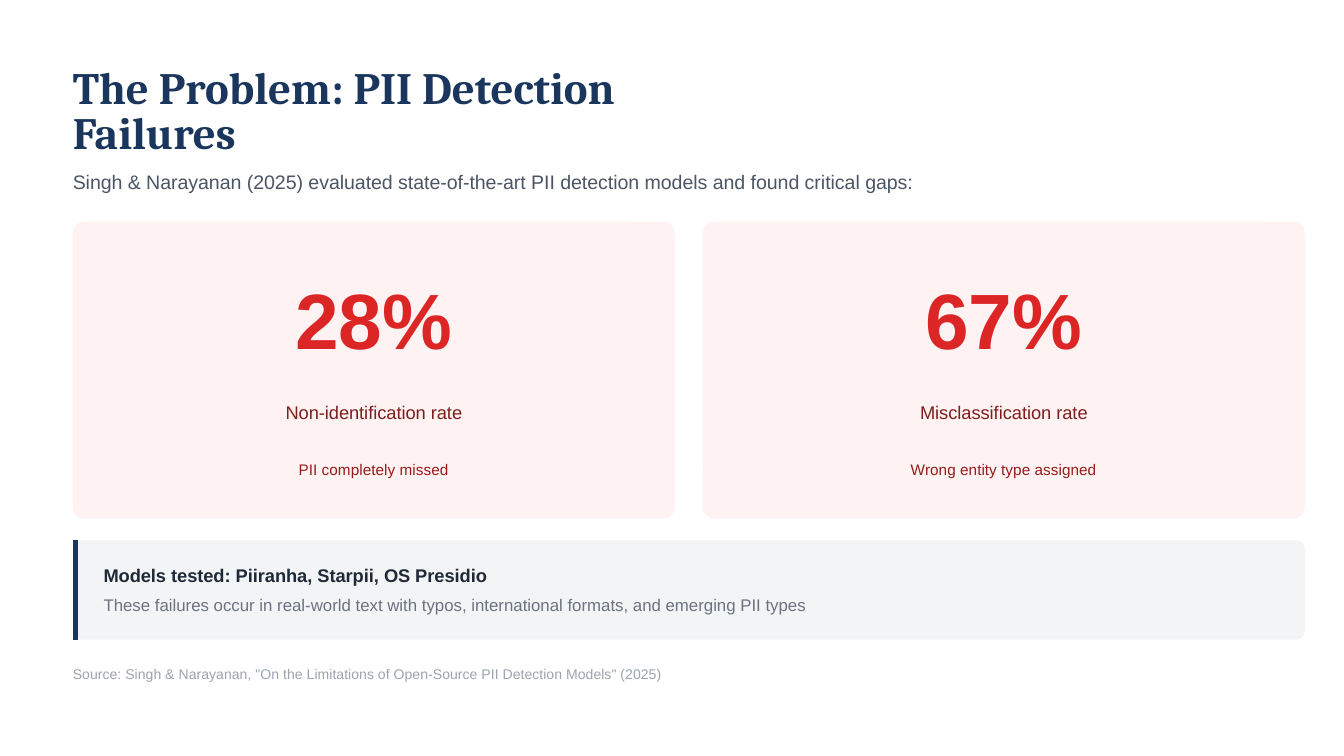
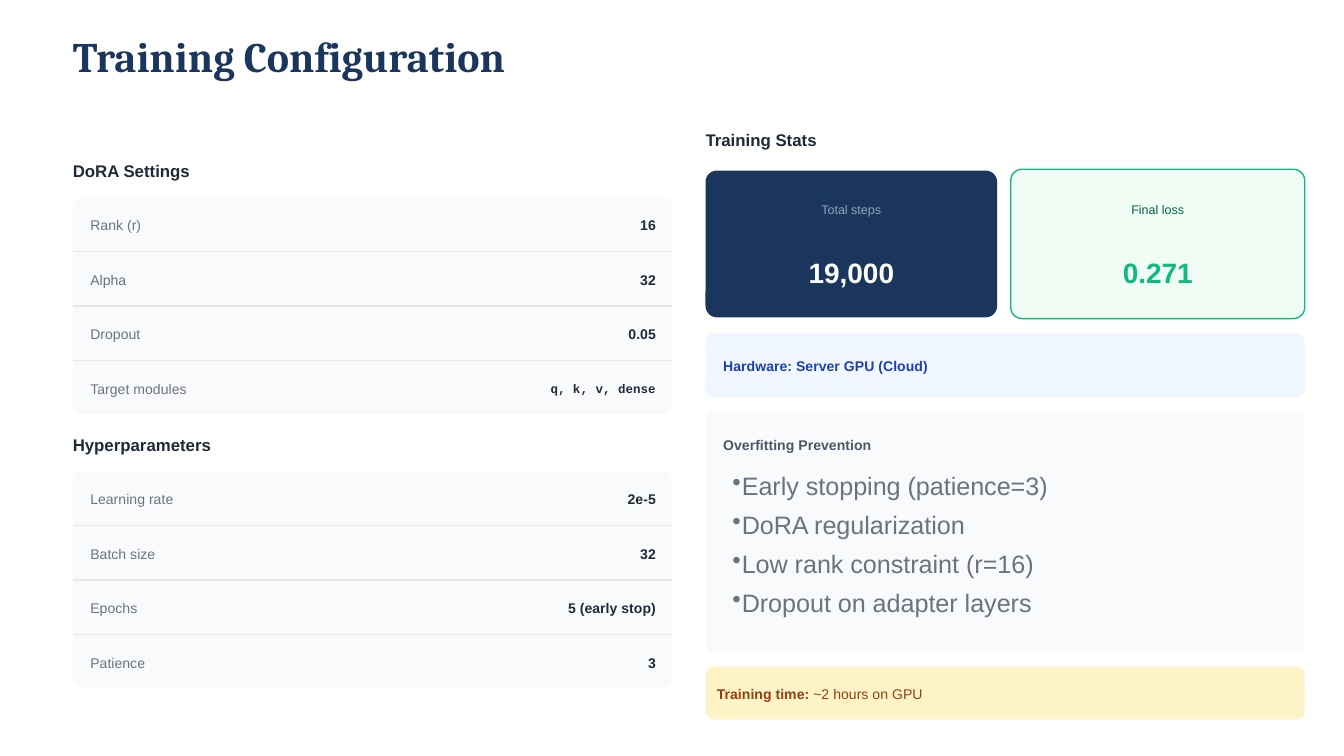
from lxml import etree
from pptx import Presentation
from pptx.dml.color import RGBColor
from pptx.enum.shapes import MSO_CONNECTOR, MSO_SHAPE
from pptx.enum.text import MSO_ANCHOR, MSO_AUTO_SIZE, PP_ALIGN
from pptx.oxml.ns import qn
from pptx.util import Pt

STRAIGHT = MSO_CONNECTOR.STRAIGHT
ROUNDED = MSO_SHAPE.ROUNDED_RECTANGLE
TOP = MSO_ANCHOR.TOP
NO_AUTOFIT = MSO_AUTO_SIZE.NONE
LEFT, CENTER, RIGHT = PP_ALIGN.LEFT, PP_ALIGN.CENTER, PP_ALIGN.RIGHT

TITLE_FONT, BODY_FONT, CODE_FONT = "Cambria", "Arial", "Courier New"
NAVY, INK, SLATE, GRAY = "1A365D", "1F2937", "4B5563", "6B7280"
PALE, RULE, GREEN = "F9FAFB", "E5E7EB", "10B981"

MARGIN = 39
CONTENT_WIDTH = 660
COLUMN_WIDTH = 321
RIGHT_COLUMN = MARGIN + CONTENT_WIDTH - COLUMN_WIDTH
PADDING = 9.4
ROW_PITCH = 29.25


def color(value):
    """Turn a hex string into a colour."""
    return RGBColor.from_string(value)


def place(shape, left, top, width, height):
    """Move and size a shape in points."""
    shape.left, shape.top = Pt(left), Pt(top)
    shape.width, shape.height = Pt(width), Pt(height)


def prepare_frame(shape, inset=0):
    """Give a shape a wrapping, top-anchored text frame."""
    frame = shape.text_frame
    frame.word_wrap = True
    frame.auto_size = NO_AUTOFIT
    frame.vertical_anchor = TOP
    frame.margin_left = Pt(inset)
    frame.margin_top = frame.margin_right = frame.margin_bottom = 0
    return frame


def format_paragraph(paragraph, size, ink, bold=False, font=BODY_FONT,
                     align=LEFT, leading=None):
    """Set the font, alignment and exact line spacing of a paragraph."""
    paragraph.alignment = align
    paragraph.line_spacing = Pt(leading or size * 1.4)
    paragraph.space_before = paragraph.space_after = Pt(0)
    paragraph.font.name = font
    paragraph.font.size = Pt(size)
    paragraph.font.bold = bold
    paragraph.font.color.rgb = color(ink)


def add_title(presentation, text, top, width, size):
    """Add a slide with its title and return the slide."""
    slide = presentation.slides.add_slide(presentation.slide_layouts[5])
    title = slide.shapes.title
    place(title, MARGIN, top, width, size)
    paragraph = prepare_frame(title).paragraphs[0]
    paragraph.text = text
    format_paragraph(paragraph, size, NAVY, True, TITLE_FONT, leading=size)
    return slide


def add_text(slide, text, left, top, width, size, ink, **style):
    """Add a one-paragraph text box and return its paragraph."""
    box = slide.shapes.add_textbox(Pt(left), Pt(top), Pt(width), Pt(size * 1.4))
    paragraph = prepare_frame(box).paragraphs[0]
    paragraph.text = text
    format_paragraph(paragraph, size, ink, **style)
    return paragraph


def add_bullets(slide, items, left, top, width, size, ink, leading):
    """Add a bulleted list."""
    box = slide.shapes.add_textbox(
        Pt(left), Pt(top), Pt(width), Pt(leading * len(items) + PADDING))
    frame = prepare_frame(box, 5)
    for index, item in enumerate(items):
        paragraph = frame.add_paragraph() if index else frame.paragraphs[0]
        paragraph.text = item
        properties = paragraph._p.get_or_add_pPr()
        properties.set("marL", str(Pt(5)))
        properties.set("indent", str(-Pt(5)))
        etree.SubElement(properties, qn("a:buChar")).set("char", "•")
        format_paragraph(paragraph, size, ink, leading=leading)


def add_card(slide, left, top, width, height, fill, radius=4.5, outline=None):
    """Add a rounded panel with a corner radius in points."""
    card = slide.shapes.add_shape(ROUNDED, Pt(left), Pt(top), Pt(width), Pt(height))
    card.shadow.inherit = False
    card.adjustments[0] = radius / min(width, height)
    card.fill.solid()
    card.fill.fore_color.rgb = color(fill)
    if outline:
        card.line.color.rgb = color(outline)
        card.line.width = Pt(0.75)
    else:
        card.line.fill.background()


def add_line(slide, start, end, ink, weight):
    """Draw a straight line between two points."""
    line = slide.shapes.add_connector(
        STRAIGHT, Pt(start[0]), Pt(start[1]), Pt(end[0]), Pt(end[1]))
    line.line.color.rgb = color(ink)
    line.line.width = Pt(weight)
    etree.SubElement(line._element.spPr, qn("a:effectLst"))


def add_centered(slide, text, center, top, width, size, ink, bold=False):
    """Add centred text around a horizontal position."""
    add_text(slide, text, center - width / 2, top, width, size, ink,
             bold=bold, align=CENTER)


def add_failure_card(slide, left, rate, label, detail):
    """Add a red card with a failure rate and its meaning."""
    width = (CONTENT_WIDTH - 15) / 2
    center = left + width / 2
    add_card(slide, left, 118.8, width, 159, "FEF2F2", 6)
    add_centered(slide, rate, center, 136.8, 110, 42, "DC2626", True)
    add_centered(slide, label, center, 213, 110, 9.75, "7F1D1D")
    add_centered(slide, detail, center, 244.8, 110, 8.25, "991B1B")


def add_settings(slide, heading, top, rows):
    """Add a heading and a panel of ruled name and value rows."""
    add_text(slide, heading, MARGIN, top, COLUMN_WIDTH, 9, INK, bold=True)
    panel_top = top + 21.6
    add_card(slide, MARGIN, panel_top, COLUMN_WIDTH, 116, PALE)
    value_left = 290
    value_width = MARGIN + COLUMN_WIDTH - PADDING + 0.8 - value_left
    for index, (name, value, font, size) in enumerate(rows):
        row_top = panel_top + index * ROW_PITCH
        if index:
            add_line(slide, (MARGIN, row_top - 0.4),
                     (MARGIN + COLUMN_WIDTH, row_top - 0.4), RULE, 0.75)
        add_text(slide, name, MARGIN + PADDING, row_top + 8.7, 235, 7.5, GRAY)
        add_text(slide, value, value_left, row_top + 16.2 - size, value_width,
                 size, INK, bold=True, font=font, align=RIGHT)


def add_stat_card(slide, box, fill, outline, label, label_ink, value, value_ink):
    """Add a card with a small label above a large number."""
    add_card(slide, *box, fill, 6, outline)
    center = box[0] + box[2] / 2
    add_centered(slide, label, center, 106.6, 70, 6.75, label_ink)
    add_centered(slide, value, center, 133.9, 70, 15, value_ink, True)


def build_problem(presentation):
    """Build the slide on detection failures."""
    slide = add_title(presentation, "The Problem: PII Detection Failures",
                      36.7, 381.6, 24)
    add_text(slide, "Singh & Narayanan (2025) evaluated state-of-the-art PII "
             "detection models and found critical gaps:",
             MARGIN, 87.8, 673, 10.5, SLATE, leading=15.75)
    failures = [("28%", "Non-identification rate", "PII completely missed"),
                ("67%", "Misclassification rate", "Wrong entity type assigned")]
    for index, failure in enumerate(failures):
        add_failure_card(slide, MARGIN + index * (CONTENT_WIDTH + 15) / 2, *failure)
    add_card(slide, MARGIN, 289.5, CONTENT_WIDTH, 53.2, "F3F4F6")
    add_line(slide, (40.5, 289.5), (40.5, 342.7), NAVY, 3)
    add_text(slide, "Models tested: Piiranha, Starpii, OS Presidio",
             55.5, 300.4, 643, 9.75, INK, bold=True)
    add_text(slide, "These failures occur in real-world text with typos, "
             "international formats, and emerging PII types",
             55.5, 317, 643, 9, GRAY)
    add_text(slide, 'Source: Singh & Narayanan, "On the Limitations of '
             'Open-Source PII Detection Models" (2025)',
             MARGIN, 354.8, 673, 7.5, "9CA3AF")


def build_training(presentation):
    """Build the slide on training settings and results."""
    slide = add_title(presentation, "Training Configuration", 20.7, 345, 22.5)
    add_settings(slide, "DoRA Settings", 84.2, [
        ("Rank (r)", "16", BODY_FONT, 7.5),
        ("Alpha", "32", BODY_FONT, 7.5),
        ("Dropout", "0.05", BODY_FONT, 7.5),
        ("Target modules", "q, k, v, dense", CODE_FONT, 6.75)])
    add_settings(slide, "Hyperparameters", 231, [
        ("Learning rate", "2e-5", BODY_FONT, 7.5),
        ("Batch size", "32", BODY_FONT, 7.5),
        ("Epochs", "5 (early stop)", BODY_FONT, 7.5),
        ("Patience", "3", BODY_FONT, 7.5)])

    add_text(slide, "Training Stats", RIGHT_COLUMN, 67.6, COLUMN_WIDTH, 9, INK,
             bold=True)
    add_stat_card(slide, (RIGHT_COLUMN, 91.4, 156.2, 78.6), NAVY, None,
                  "Total steps", "94A3B8", "19,000", "FFFFFF")
    add_stat_card(slide, (541.5, 90.7, 157.5, 80), "F0FDF4", GREEN,
                  "Final loss", "065F46", "0.271", GREEN)

    text_left = RIGHT_COLUMN + PADDING
    add_card(slide, RIGHT_COLUMN, 178.5, COLUMN_WIDTH, 34.5, "EFF6FF")
    add_text(slide, "Hardware: Server GPU (Cloud)", text_left, 190.2, 309, 7.5,
             "1E40AF", bold=True)
    add_card(slide, RIGHT_COLUMN, 220.4, COLUMN_WIDTH, 129, PALE)
    add_text(slide, "Overfitting Prevention", text_left, 232.6, 309, 7.5, SLATE,
             bold=True)
    add_bullets(slide, ["Early stopping (patience=3)", "DoRA regularization",
                        "Low rank constraint (r=16)", "Dropout on adapter layers"],
                text_left, 247, 303, 13.5, GRAY, 21)
    add_card(slide, RIGHT_COLUMN, 357, COLUMN_WIDTH, 28.5, "FEF3C7")
    paragraph = add_text(slide, "Training time:", RIGHT_COLUMN + 6, 366, 315, 7.5,
                         "92400E")
    paragraph.runs[0].font.bold = True
    paragraph.add_run().text = " ~2 hours on GPU"


def main():
    """Build and save the presentation."""
    presentation = Presentation()
    presentation.slide_width, presentation.slide_height = Pt(720), Pt(405)
    build_problem(presentation)
    build_training(presentation)
    presentation.save("out.pptx")


if __name__ == "__main__":
    main()
